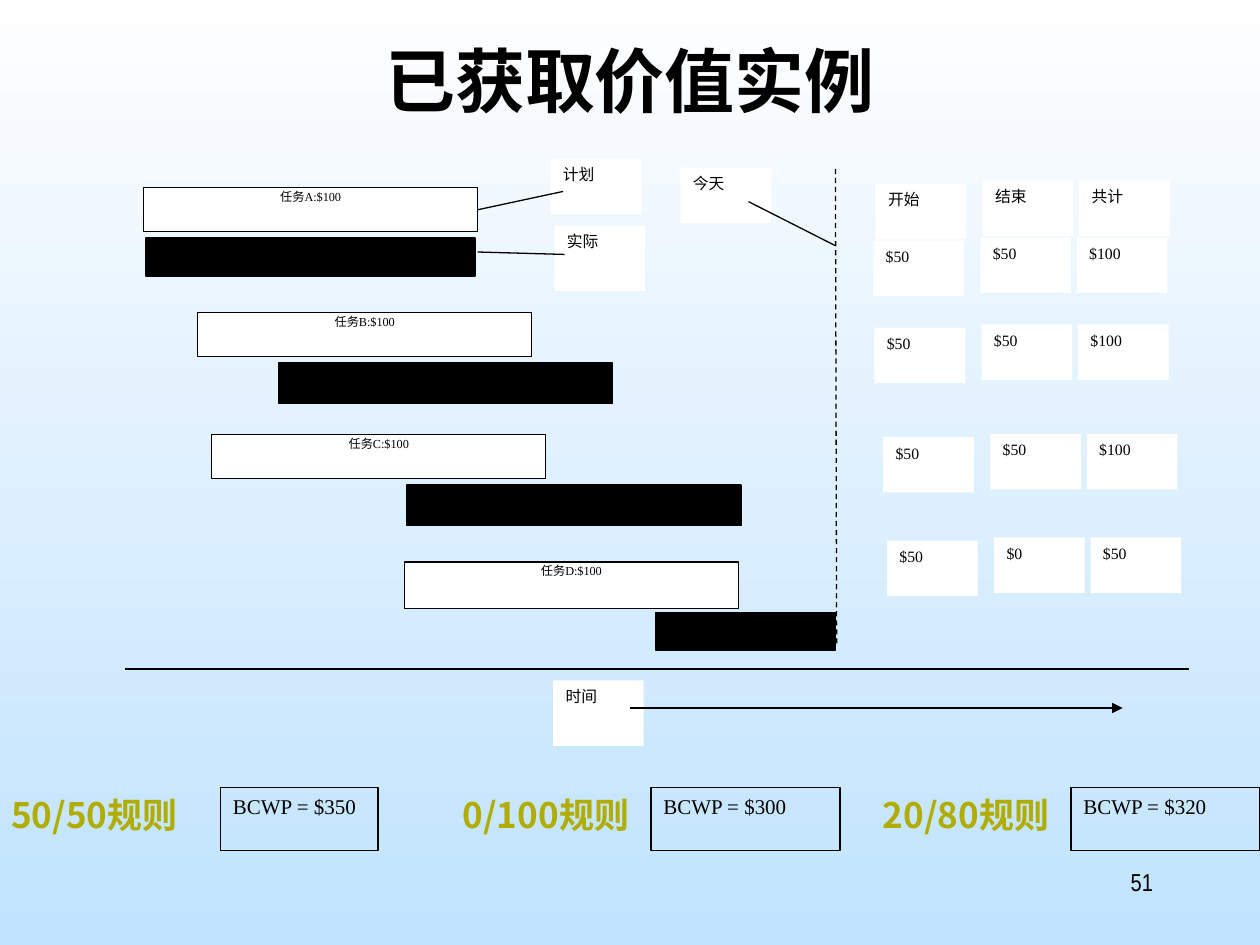
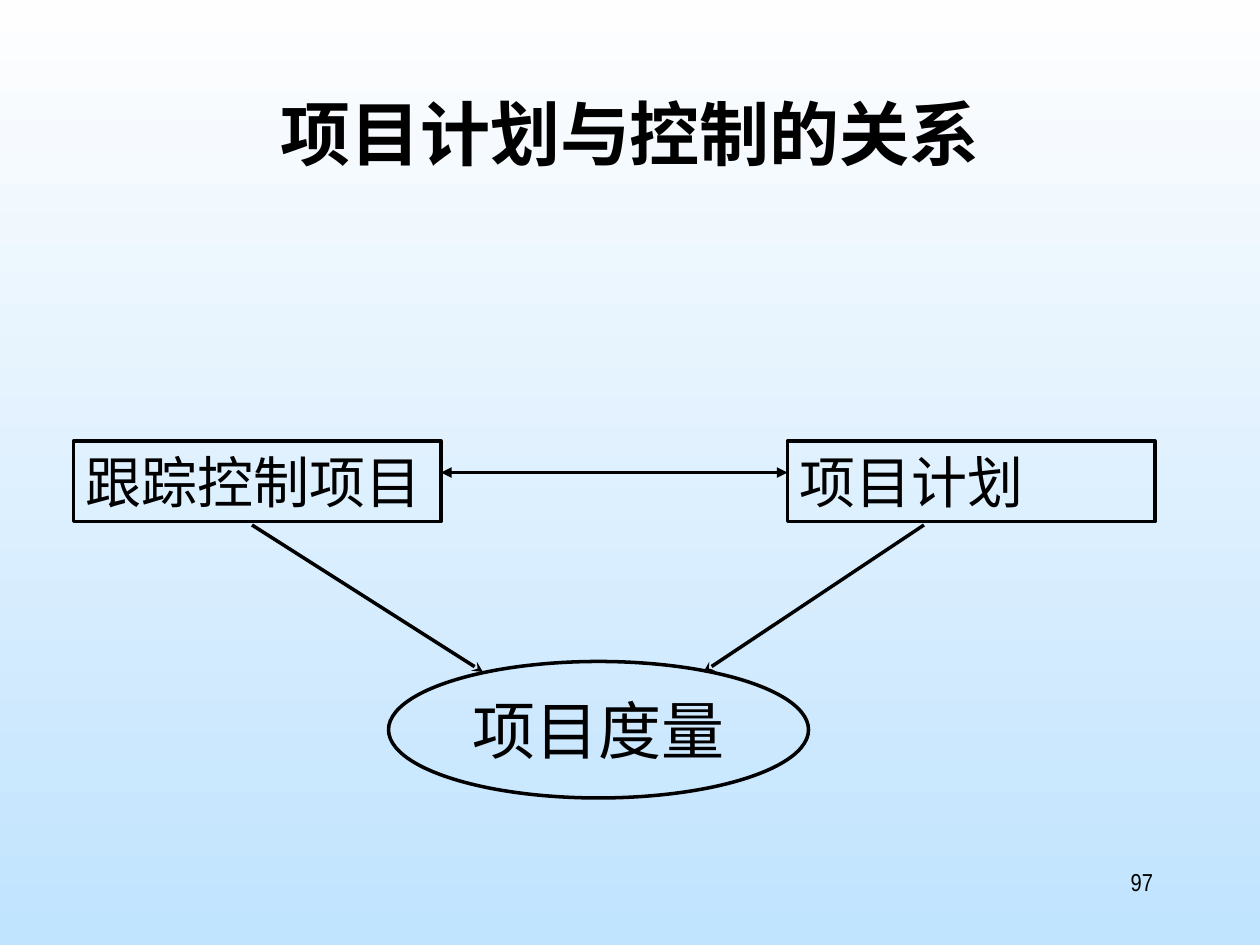
from dataclasses import dataclass

from lxml import etree
from pptx import Presentation
from pptx.dml.color import RGBColor
from pptx.enum.dml import MSO_LINE
from pptx.enum.shapes import MSO_CONNECTOR, MSO_SHAPE
from pptx.enum.text import MSO_ANCHOR, PP_ALIGN
from pptx.oxml.ns import qn
from pptx.util import Pt

RECT, OVAL = MSO_SHAPE.RECTANGLE, MSO_SHAPE.OVAL
STRAIGHT = MSO_CONNECTOR.STRAIGHT
DASH = MSO_LINE.DASH
TOP, MIDDLE = MSO_ANCHOR.TOP, MSO_ANCHOR.MIDDLE
LEFT, CENTER = PP_ALIGN.LEFT, PP_ALIGN.CENTER
RIGHT, JUSTIFY = PP_ALIGN.RIGHT, PP_ALIGN.JUSTIFY
RIGHT_SIDE = 3


@dataclass(frozen=True)
class Theme:
    black: RGBColor = RGBColor(0x00, 0x00, 0x00)
    white: RGBColor = RGBColor(0xFF, 0xFF, 0xFF)
    rule: RGBColor = RGBColor(0xB0, 0xAC, 0x00)
    sky_top: RGBColor = RGBColor(0xFE, 0xFE, 0xFE)
    sky_bottom: RGBColor = RGBColor(0xC0, 0xE3, 0xFE)
    heading_font: str = "Noto Sans CJK SC"
    chart_font: str = "Times New Roman"
    body_font: str = "Arial Narrow"
    title_size: float = 40
    metric_size: float = 36
    box_size: float = 32
    rule_size: float = 20
    page_size: float = 14
    bcwp_size: float = 12
    label_size: float = 9
    task_size: float = 7
    thin: float = 0.75
    thick: float = 2


THEME = Theme()

PLAN_WIDTH, ACTUAL_DROP = 190.8, 28.8
# task, planned (left, top, height), actual (left, width, height)
TASKS = [
    ("A", (82.1, 107.3, 25.2), (83.5, 187.9, 21.6)),
    ("B", (113, 178.6, 25.2), (159.1, 190.8, 23)),
    ("C", (121, 248.4, 25.2), (232.6, 190.8, 23)),
    ("D", (231.1, 321.1, 26.6), (374.4, 103, 21.6)),
]
LABEL_WIDTH, LABEL_HEIGHT, TALL_LABEL = 51.8, 31.7, 37.4
# offset of each value column from the start of its row
COLUMN_OFFSETS = [(0, 0), (61.2, -1.8), (116.3, -1.8)]
VALUE_ROWS = [
    (500.4, 105.1, ("开始", "结束", "共计")),
    (499, 137.5, ("$50", "$50", "$100")),
    (499.7, 187.2, ("$50", "$50", "$100")),
    (504.7, 249.8, ("$50", "$50", "$100")),
    (506.9, 308.9, ("$50", "$0", "$50")),
]
# rule, its left, BCWP, left and width of the BCWP box
RULES = [
    ("50/50规则", -6, "BCWP = $350", 126, 90),
    ("0/100规则", 252, "BCWP = $300", 372, 108),
    ("20/80规则", 492, "BCWP = $320", 612, 108),
]
RULE_TOP = 450


def write(shape, text, font, size, align, color=THEME.black, bold=False,
          spacing=None, anchor=TOP, wrap=True):
    frame = shape.text_frame
    frame.word_wrap = wrap
    frame.vertical_anchor = anchor
    paragraph = frame.paragraphs[0]
    paragraph.text = text
    paragraph.alignment = align
    if spacing:
        paragraph.line_spacing = spacing
    paragraph.font.name = font
    paragraph.font.size = Pt(size)
    paragraph.font.bold = bold
    paragraph.font.color.rgb = color
    defaults = paragraph._p.pPr.find(qn("a:defRPr"))
    etree.SubElement(defaults, qn("a:ea"), typeface=THEME.heading_font)


def add_text(slide, left, top, width, height, text, *style, **options):
    box = slide.shapes.add_textbox(Pt(left), Pt(top), Pt(width), Pt(height))
    write(box, text, *style, **options)


def add_box(slide, left, top, width, height, fill=None, line=None, kind=RECT):
    """Add a shape; without a fill or a line width that part stays empty."""
    box = slide.shapes.add_shape(kind, Pt(left), Pt(top), Pt(width), Pt(height))
    box.shadow.inherit = False
    if fill is None:
        box.fill.background()
    else:
        box.fill.solid()
        box.fill.fore_color.rgb = fill
    if line is None:
        box.line.fill.background()
    else:
        box.line.color.rgb = THEME.black
        box.line.width = Pt(line)
    return box


def add_label(slide, left, top, text, height=LABEL_HEIGHT):
    label = add_box(slide, left, top, LABEL_WIDTH, height, THEME.white)
    write(label, text, THEME.chart_font, THEME.label_size, JUSTIFY)


def add_line(slide, start, end, width=THEME.thin, dash=None, head=None, tail=None):
    """Draw from start to end; head and tail are arrowheads at start and end."""
    line = slide.shapes.add_connector(STRAIGHT, *map(Pt, start + end))
    line.line.color.rgb = THEME.black
    line.line.width = Pt(width)
    if dash:
        line.line.dash_style = dash
    properties = line._element.spPr
    for tag, arrow in (("a:headEnd", head), ("a:tailEnd", tail)):
        if arrow:
            etree.SubElement(properties.find(qn("a:ln")), qn(tag), type=arrow)
    etree.SubElement(properties, qn("a:effectLst"))
    return line


def new_slide(deck, title, title_top, page):
    slide = deck.slides.add_slide(deck.slide_layouts[6])
    sky = slide.background.fill
    sky.gradient()
    sky.gradient_angle = 270
    for stop, color in zip(sky.gradient_stops, (THEME.sky_top, THEME.sky_bottom)):
        stop.color.rgb = color
    add_text(slide, 54, title_top, 612, 90, title,
             THEME.heading_font, THEME.title_size, CENTER, bold=True)
    add_text(slide, 516, 492, 150, 36, page,
             THEME.body_font, THEME.page_size, RIGHT)
    return slide


def add_task(slide, name, planned, actual):
    """Add the planned and the actual bar of a task; return the planned one."""
    left, top, height = planned
    plan_bar = add_box(slide, left, top, PLAN_WIDTH, height, THEME.white, THEME.thin)
    write(plan_bar, f"任务{name}:$100", THEME.chart_font, THEME.task_size, CENTER,
          spacing=0.64)
    actual_left, actual_width, actual_height = actual
    add_box(slide, actual_left, top + ACTUAL_DROP, actual_width, actual_height,
            THEME.black, THEME.thin)
    return plan_bar


def add_rule(slide, rule, left, bcwp, bcwp_left, bcwp_width):
    add_text(slide, left, RULE_TOP, 120, 31.7, rule, THEME.heading_font,
             THEME.rule_size, CENTER, color=THEME.rule, bold=True)
    result = add_box(slide, bcwp_left, RULE_TOP, bcwp_width, 36, line=THEME.thin)
    write(result, bcwp, THEME.chart_font, THEME.bcwp_size, JUSTIFY)


def build_earned_value(deck):
    slide = new_slide(deck, "已获取价值实例", 18, "51")
    plan_bars = [add_task(slide, *task) for task in TASKS]

    add_label(slide, 314.6, 90.7, "计划")
    add_label(slide, 316.8, 128.9, "实际", TALL_LABEL)
    add_label(slide, 388.8, 95.8, "今天")
    add_label(slide, 316.1, 388.8, "时间", TALL_LABEL)
    for left, top, values in VALUE_ROWS:
        for (dx, dy), value in zip(COLUMN_OFFSETS, values):
            add_label(slide, left + dx, top + dy, value)

    add_line(slide, (71.3, 382.3), (679.7, 382.3))
    add_line(slide, (477.4, 96.5), (478.1, 367.9), dash=DASH)
    plan_callout = add_line(slide, (321.8, 109.4), (272.9, 119.9))
    plan_callout.end_connect(plan_bars[0], RIGHT_SIDE)
    add_line(slide, (272.9, 144), (322.6, 145.4))
    add_line(slide, (427.7, 115.2), (477.4, 140.4))
    add_line(slide, (360, 404.6), (641.5, 404.6), tail="triangle")

    for rule in RULES:
        add_rule(slide, *rule)


def build_plan_and_control(deck):
    slide = new_slide(deck, "项目计划与控制的关系", 48, "97")
    for left, activity in ((42, "跟踪控制项目"), (450, "项目计划")):
        box = add_box(slide, left, 252, 210, 46, line=THEME.thick)
        write(box, activity, THEME.body_font, THEME.box_size, LEFT)
    metric = add_box(slide, 222, 378, 240, 78, line=THEME.thick, kind=OVAL)
    write(metric, "项目度量", THEME.body_font, THEME.metric_size, CENTER,
          anchor=MIDDLE, wrap=False)

    for start_x, end_x in ((144, 276), (528, 402)):
        add_line(slide, (start_x, 300), (end_x, 384), THEME.thick, tail="stealth")
    add_line(slide, (252, 270), (450, 270), THEME.thick,
             head="triangle", tail="triangle")


def main():
    deck = Presentation()
    deck.slide_width, deck.slide_height = Pt(720), Pt(540)
    build_earned_value(deck)
    build_plan_and_control(deck)
    deck.save("out.pptx")


if __name__ == "__main__":
    main()
